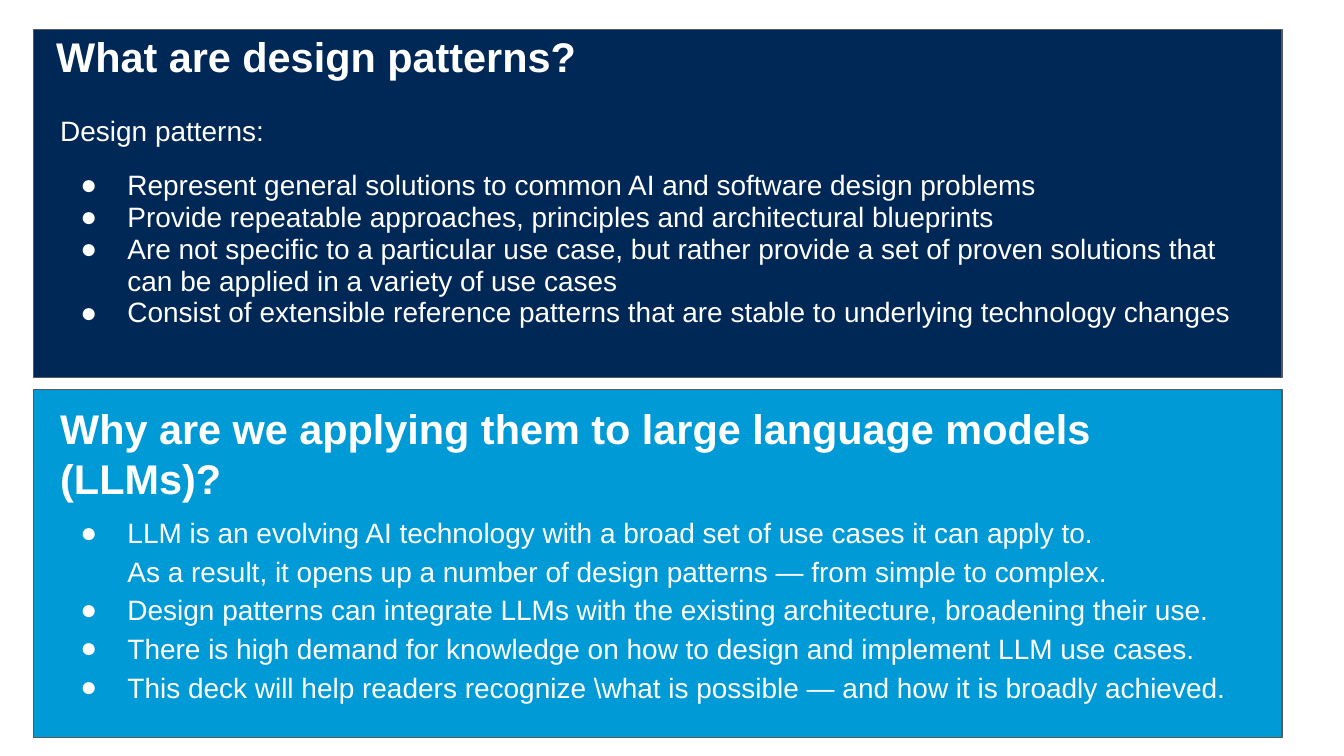
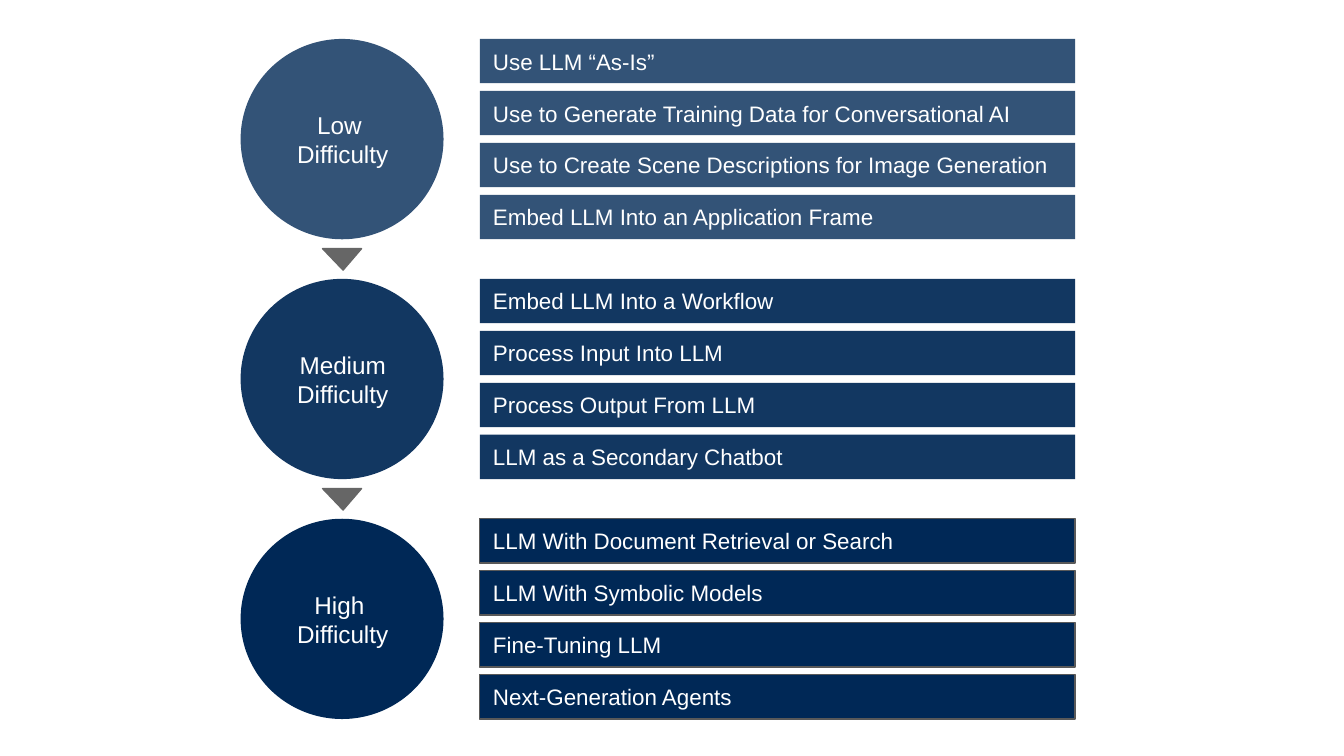
from dataclasses import dataclass

from lxml import etree
from pptx import Presentation
from pptx.dml.color import RGBColor
from pptx.enum import shapes, text
from pptx.oxml import ns
from pptx.util import Inches, Pt


@dataclass(frozen=True)
class Theme:
    """Colours, font and type sizes shared by the slides."""
    navy: str = "002856"
    sky: str = "009AD7"
    white: str = "FFFFFF"
    edge: str = "595959"
    arrow: str = "666666"
    font: str = "Arial"
    title: float = 22.2
    body: float = 15
    label: float = 13
    bar: float = 12


T = Theme()
RECT = shapes.MSO_SHAPE.RECTANGLE
OVAL = shapes.MSO_SHAPE.OVAL
TRIANGLE = shapes.MSO_SHAPE.ISOSCELES_TRIANGLE


def sub(parent, tag, **attrs):
    """Append a DrawingML element to the parent."""
    return etree.SubElement(parent, ns.qn(tag), attrs)


def add_shape(s, kind, box, fill, line=None, alpha=100):
    """Add a flat filled shape with an optional outline and opacity."""
    sp = s.shapes.add_shape(kind, *map(Inches, box))
    sp.shadow.inherit = False
    sp.fill.solid()
    sp.fill.fore_color.rgb = RGBColor.from_string(fill)
    if alpha < 100:
        clr = sp.fill._xPr.find(ns.qn("a:solidFill"))[0]
        sub(clr, "a:alpha", val=str(alpha * 1000))
    if line:
        sp.line.color.rgb = RGBColor.from_string(line)
        sp.line.width = Pt(0.75)
    else:
        sp.line.fill.background()
    return sp


def add_bullet(p):
    """Give the paragraph a round white bullet and a hanging indent."""
    pPr = p._p.get_or_add_pPr()
    pPr.set("marL", str(Inches(0.5)))
    pPr.set("indent", str(Inches(-0.35)))
    sub(sub(pPr, "a:buClr"), "a:srgbClr", val=T.white)
    sub(pPr, "a:buFont", typeface=T.font)
    sub(pPr, "a:buChar", char="●")


def write(sp, lines, size, bold=False, align=text.PP_ALIGN.LEFT,
          anchor=text.MSO_ANCHOR.TOP, spacing=None, first_bullet=None):
    """Fill a shape with white paragraphs, bulleted from first_bullet on."""
    tf = sp.text_frame
    tf.word_wrap = True
    tf.vertical_anchor = anchor
    tf.margin_left = tf.margin_right = Inches(0.1)
    tf.margin_top = tf.margin_bottom = Inches(0.1)
    for i, line in enumerate(lines):
        p = tf.paragraphs[0] if i == 0 else tf.add_paragraph()
        p.text = line
        if first_bullet is not None and i >= first_bullet:
            add_bullet(p)
            if i and i == first_bullet:
                p.space_before = Pt(12)
        p.alignment = align
        if spacing:
            p.line_spacing = spacing
        p.font.name = T.font
        p.font.size = Pt(size)
        p.font.bold = bold
        p.font.color.rgb = RGBColor.from_string(T.white)


def add_text(s, box, lines, size, **style):
    """Add a text box and fill it."""
    write(s.shapes.add_textbox(*map(Inches, box)), lines, size, **style)


def add_band(s, box, fill, title, title_box, lines, body_box, **style):
    """Draw a coloured band whose title and body boxes are relative to it."""
    x, y = box[:2]
    add_shape(s, RECT, box, fill, T.edge)
    for (dx, dy, w, h), paras, size, kw in (
            (title_box, [title], T.title, {"bold": True}),
            (body_box, lines, T.body, style)):
        add_text(s, (x + dx, y + dy, w, h), paras, size, **kw)


def add_level(s, box, name, patterns, alpha, line):
    """Draw a difficulty circle with its stack of pattern bars."""
    x, y, w, h = box
    circle_w, bar_x, bar_h = 1.51, 1.78, 0.33
    add_shape(s, OVAL, (x, y, circle_w, h), T.navy, alpha=alpha)
    add_text(s, (x - 0.02, y + 0.43, 1.56, 0.64), [name, "Difficulty"],
             T.label, align=text.PP_ALIGN.CENTER)
    pitch = (h - bar_h) / (len(patterns) - 1)
    for i, pattern in enumerate(patterns):
        bar = add_shape(s, RECT, (x + bar_x, y + i * pitch, w - bar_x, bar_h),
                        T.navy, line, alpha)
        write(bar, [pattern], T.bar, anchor=text.MSO_ANCHOR.MIDDLE)


def add_arrow(s, box):
    """Draw a triangle that points down to the next level."""
    sp = add_shape(s, TRIANGLE, box, T.arrow, T.arrow)
    sp.rotation = 180
    sp.adjustments[0] = 0.474


def build_intro(s):
    """Build the slide that explains design patterns."""
    add_band(
        s, (0.25, 0.22, 9.29, 2.59), T.navy,
        "What are design patterns?", (0.07, -0.09, 7.68, 0.63),
        ["Design patterns:",
         "Represent general solutions to common AI and software design problems",
         "Provide repeatable approaches, principles and architectural blueprints",
         "Are not specific to a particular use case, but rather provide a set of "
         "proven solutions that can be applied in a variety of use cases",
         "Consist of extensible reference patterns that are stable to underlying "
         "technology changes"],
        (0.1, 0.54, 9.06, 1.97), spacing=0.95, first_bullet=1)
    add_band(
        s, (0.25, 2.9, 9.29, 2.59), T.sky,
        "Why are we applying them to large language models (LLMs)?",
        (0.1, 0, 8.43, 0.63),
        ["LLM is an evolving AI technology with a broad set of use cases it can "
         "apply to. \vAs a result, it opens up a number of design patterns — from "
         "simple to complex.",
         "Design patterns can integrate LLMs with the existing architecture, "
         "broadening their use.",
         "There is high demand for knowledge on how to design and implement LLM "
         "use cases.",
         "This deck will help readers recognize \\what is possible — and how it "
         "is broadly achieved."],
        (0.1, 0.8, 9.19, 1.7), spacing=1.15, first_bullet=0)


def build_levels(s):
    """Build the slide that ranks patterns by difficulty."""
    levels = [
        ("Low ", 80, None,
         ["Use LLM “As-Is”",
          "Use to Generate Training Data for Conversational AI",
          "Use to Create Scene Descriptions for Image Generation",
          "Embed LLM Into an Application Frame"]),
        ("Medium", 93, None,
         ["Embed LLM Into a Workflow", "Process Input Into LLM",
          "Process Output From LLM", "LLM as a Secondary Chatbot"]),
        ("High ", 100, T.edge,
         ["LLM With Document Retrieval or Search", "LLM With Symbolic Models",
          "Fine-Tuning LLM", "Next-Generation Agents"]),
    ]
    left, top, bottom, height = 1.79, 0.29, 5.35, 1.49
    pitch = (bottom - top - height) / (len(levels) - 1)
    for i, (name, alpha, line, patterns) in enumerate(levels):
        y = top + i * pitch
        add_level(s, (left, y, 6.21, height), name, patterns, alpha, line)
        if i < len(levels) - 1:
            add_arrow(s, (left + 0.61, y + height + 0.07, 0.29, 0.16))


def main():
    """Build and save the presentation."""
    prs = Presentation()
    prs.slide_width = Inches(10)
    prs.slide_height = prs.slide_width * 9 // 16
    for build in (build_intro, build_levels):
        build(prs.slides.add_slide(prs.slide_layouts[6]))
    prs.save("out.pptx")


if __name__ == "__main__":
    main()
